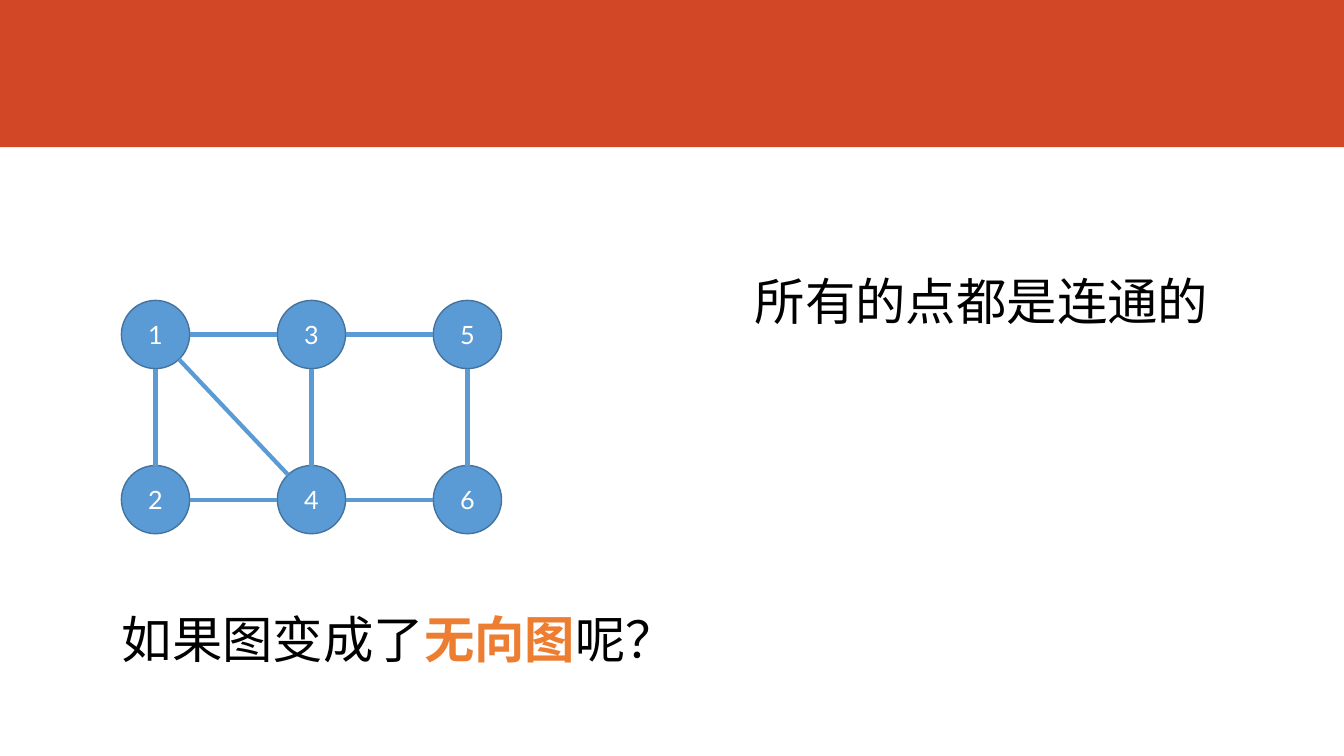
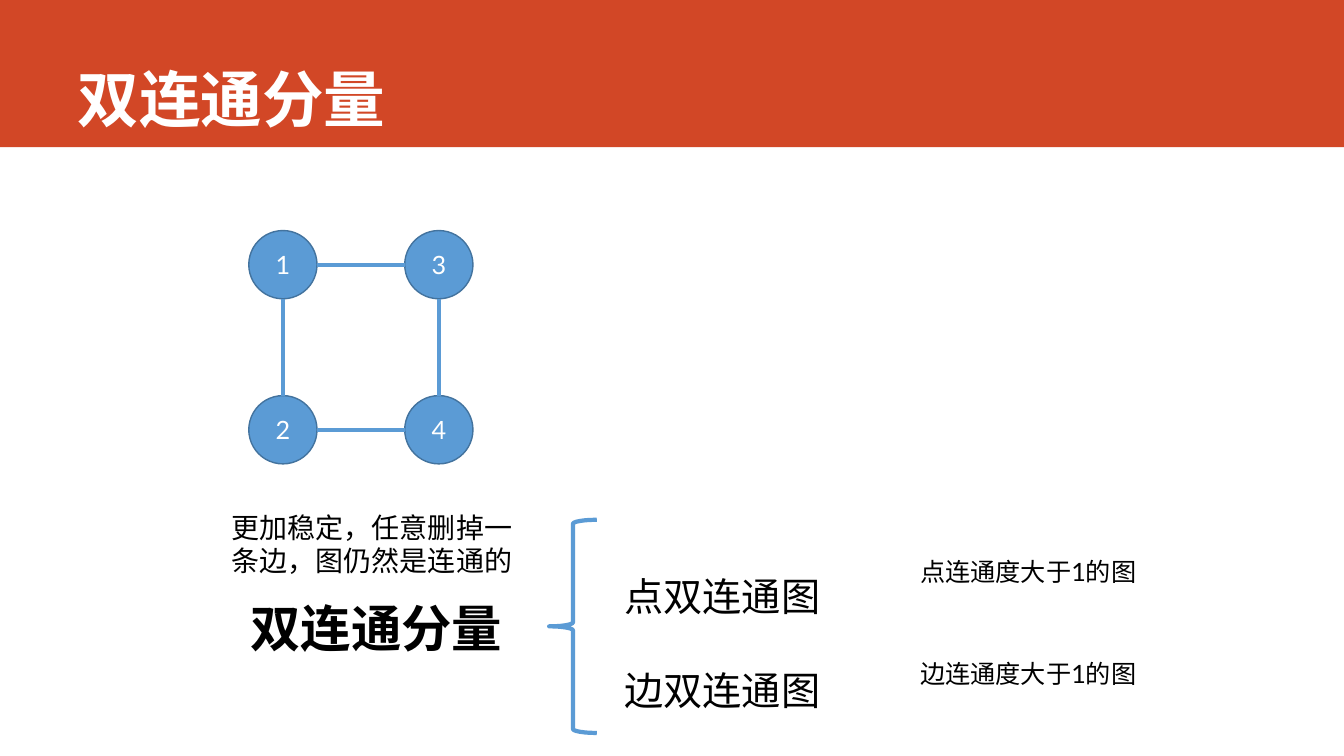
from dataclasses import dataclass
from math import hypot

from lxml import etree
from pptx import Presentation
from pptx.dml.color import RGBColor
from pptx.enum.shapes import MSO_CONNECTOR, MSO_SHAPE
from pptx.enum.text import MSO_ANCHOR, MSO_AUTO_SIZE, PP_ALIGN
from pptx.oxml.ns import qn
from pptx.util import Cm, Pt

# Shared style
BAND_RED = RGBColor(0xD2, 0x47, 0x26)
NODE_BLUE = RGBColor(0x5B, 0x9B, 0xD5)
NODE_BORDER = RGBColor(0x43, 0x73, 0x9E)
ACCENT = RGBColor(0xED, 0x7D, 0x31)
WHITE = RGBColor(0xFF, 0xFF, 0xFF)
BLACK = RGBColor(0, 0, 0)
BODY_FONT = "Lato"
TITLE_FONT = "Noto Sans CJK SC"
SLIDE_WIDTH, SLIDE_HEIGHT = 33.87, 19.05
BAND_HEIGHT = 3.71

# Graph grid in centimetres: nodes are numbered down each column of two
NODE_SIZE = 1.72
COLUMN_STEP, ROW_STEP = 3.93, 4.16


@dataclass(frozen=True)
class Span:
    text: str
    color: RGBColor = BLACK
    bold: bool = False


@dataclass(frozen=True)
class Label:
    left: float
    top: float
    width: float
    height: float
    size: int
    paragraphs: list[list[Span]]
    align: PP_ALIGN = PP_ALIGN.LEFT
    line_spacing: float = 1.0


@dataclass(frozen=True)
class Graph:
    first_x: float
    first_y: float
    node_count: int
    edges: list[tuple[int, int]]

    def center(self, node: int) -> tuple[float, float]:
        column, row = divmod(node - 1, 2)
        return self.first_x + column * COLUMN_STEP, self.first_y + row * ROW_STEP


def add_run(paragraph, span: Span, size: int, font: str = BODY_FONT) -> None:
    run = paragraph.add_run()
    run.text = span.text
    run.font.size = Pt(size)
    run.font.bold = span.bold
    run.font.color.rgb = span.color
    run.font.name = font
    east_asian = etree.SubElement(run._r.get_or_add_rPr(), qn("a:ea"))
    east_asian.set("typeface", font)


def add_label(slide, label: Label) -> None:
    box = slide.shapes.add_textbox(
        Cm(label.left), Cm(label.top), Cm(label.width), Cm(label.height))
    frame = box.text_frame
    frame.word_wrap = True
    for index, spans in enumerate(label.paragraphs):
        paragraph = frame.add_paragraph() if index else frame.paragraphs[0]
        paragraph.alignment = label.align
        paragraph.line_spacing = label.line_spacing
        for span in spans:
            add_run(paragraph, span, label.size)


def add_edge(slide, start: tuple[float, float], end: tuple[float, float]) -> None:
    """Draw a line between the rims of two nodes given by their centres."""
    dx, dy = end[0] - start[0], end[1] - start[1]
    scale = NODE_SIZE / 2 / hypot(dx, dy)
    trim_x, trim_y = dx * scale, dy * scale
    line = slide.shapes.add_connector(
        MSO_CONNECTOR.STRAIGHT,
        Cm(start[0] + trim_x), Cm(start[1] + trim_y),
        Cm(end[0] - trim_x), Cm(end[1] - trim_y))
    line.line.color.rgb = NODE_BLUE
    line.line.width = Pt(3)
    etree.SubElement(line._element.spPr, qn("a:effectLst"))


def add_graph(slide, graph: Graph) -> None:
    for node in range(1, graph.node_count + 1):
        x, y = graph.center(node)
        circle = slide.shapes.add_shape(
            MSO_SHAPE.OVAL, Cm(x - NODE_SIZE / 2), Cm(y - NODE_SIZE / 2),
            Cm(NODE_SIZE), Cm(NODE_SIZE))
        circle.shadow.inherit = False
        circle.fill.solid()
        circle.fill.fore_color.rgb = NODE_BLUE
        circle.line.color.rgb = NODE_BORDER
        circle.line.width = Pt(1)
        circle.text_frame.vertical_anchor = MSO_ANCHOR.MIDDLE
        paragraph = circle.text_frame.paragraphs[0]
        paragraph.alignment = PP_ALIGN.CENTER
        add_run(paragraph, Span(str(node), WHITE), 18)
    for start, end in graph.edges:
        add_edge(slide, graph.center(start), graph.center(end))


def set_title(slide, text: str) -> None:
    title = slide.shapes.title
    title.left, title.top, title.width, title.height = Cm(1.7), Cm(0), Cm(29.85), Cm(3.4)
    frame = title.text_frame
    frame.auto_size = MSO_AUTO_SIZE.NONE
    frame.vertical_anchor = MSO_ANCHOR.BOTTOM
    frame.margin_bottom = 0
    frame.paragraphs[0].alignment = PP_ALIGN.LEFT
    add_run(frame.paragraphs[0], Span(text, WHITE, True), 44, TITLE_FONT)


def add_master_band(prs, slide) -> None:
    """Draw the band, then move it to the back of the slide master."""
    band = slide.shapes.add_shape(
        MSO_SHAPE.RECTANGLE, 0, 0, prs.slide_width, Cm(BAND_HEIGHT))
    band.shadow.inherit = False
    band.fill.solid()
    band.fill.fore_color.rgb = BAND_RED
    band.line.fill.background()
    band._element.nvSpPr.cNvPr.set("id", "100")
    prs.slide_master.shapes._spTree.insert(2, band._element)


def add_brace(slide) -> None:
    brace = slide.shapes.add_shape(
        MSO_SHAPE.LEFT_BRACE, Cm(13.84), Cm(13.1), Cm(1.2), Cm(5.37))
    brace.shadow.inherit = False
    brace.fill.background()
    brace.line.color.rgb = NODE_BLUE
    brace.line.width = Pt(3)


prs = Presentation()
prs.slide_width, prs.slide_height = Cm(SLIDE_WIDTH), Cm(SLIDE_HEIGHT)
TITLE_ONLY, BLANK = prs.slide_layouts[5], prs.slide_layouts[6]

# Slide 1: undirected graph
undirected = prs.slides.add_slide(BLANK)
add_master_band(prs, undirected)
add_graph(undirected, Graph(3.92, 8.43, 6, [
    (1, 2), (3, 4), (5, 6), (1, 3), (3, 5), (2, 4), (4, 6), (1, 4)]))
add_label(undirected, Label(2.82, 15.21, 13.74, 1.8, 36, [[
    Span("如果图变成了"), Span("无向图", ACCENT, True), Span("呢？")]]))
add_label(undirected, Label(18.77, 6.68, 12.29, 1.8, 36, [[Span("所有的点都是连通的")]]))

# Slide 2: biconnected components
biconnected = prs.slides.add_slide(TITLE_ONLY)
set_title(biconnected, "双连通分量")
add_graph(biconnected, Graph(7.13, 6.67, 4, [(1, 2), (3, 4), (1, 3), (2, 4)]))
add_brace(biconnected)
for label in (
    Label(5.59, 12.73, 7.77, 1.96, 20, [[Span("更加稳定，任意删掉一条边，图仍然是连通的")]]),
    Label(5.13, 14.91, 8.71, 1.8, 36, [[Span("双连通分量", bold=True)]], PP_ALIGN.CENTER),
    Label(15.49, 13.1, 5.6, 5.05, 28,
          [[Span("点双连通图")], [Span("边双连通图")]], line_spacing=2.0),
    Label(22.94, 13.89, 6, 1.02, 18, [[Span("点连通度大于1的图")]]),
    Label(22.94, 16.46, 6, 1.02, 18, [[Span("边连通度大于1的图")]]),
):
    add_label(biconnected, label)

prs.save("out.pptx")
